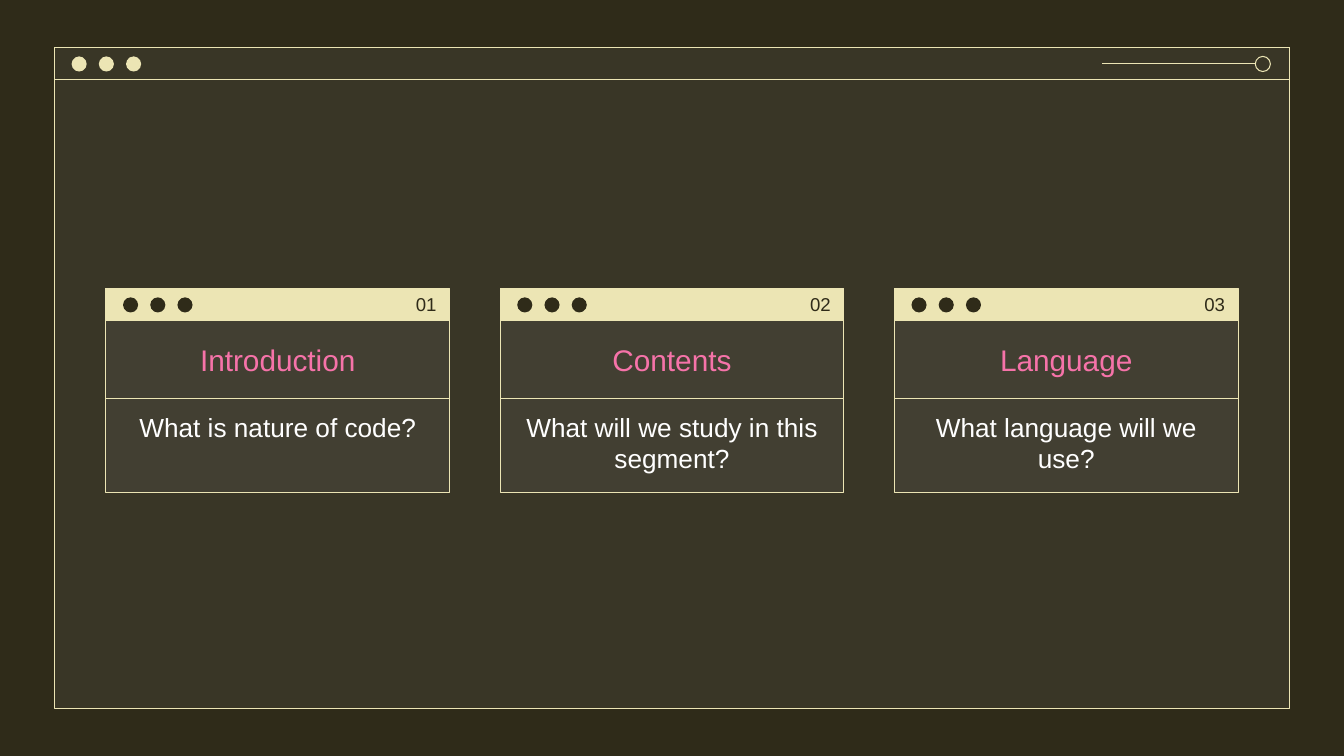
from pptx import Presentation
from pptx.dml.color import RGBColor
from pptx.enum.shapes import MSO_CONNECTOR as Connector, MSO_SHAPE as Shape
from pptx.enum.text import MSO_ANCHOR as Anchor, PP_ALIGN as Align
from pptx.oxml.ns import qn
from pptx.util import Inches, Pt
from lxml.etree import SubElement

DARK = RGBColor(0x2F, 0x2B, 0x19)
CREAM = RGBColor(0xEC, 0xE5, 0xB4)
GRAY = RGBColor(0x7C, 0x7C, 0x7C)
PINK = RGBColor(0xF6, 0x73, 0xA9)
WHITE = RGBColor(0xFF, 0xFF, 0xFF)

FONT = "Arial"
LINE_WIDTH = Pt(0.75)
BAR_HEIGHT = 0.32
TITLE_HEIGHT = 0.77
DOT = 0.15
DOT_PITCH = 0.27
DOT_LEFT, DOT_TOP = 0.17, 0.09

CARDS = [
    ("Introduction", "What is nature of code?"),
    ("Contents", "What will we study in this segment?"),
    ("Language", "What language will we use?"),
]


def add_box(page, kind, left, top, width, height, fill=None, line=None, alpha=None):
    box = page.shapes.add_shape(
        kind, Inches(left), Inches(top), Inches(width), Inches(height))
    box.shadow.inherit = False
    if fill is None:
        box.fill.background()
    else:
        box.fill.solid()
        box.fill.fore_color.rgb = fill
    if alpha is not None:
        color = box.fill._xPr.find(qn("a:solidFill"))[0]
        SubElement(color, qn("a:alpha")).set("val", str(alpha * 1000))
    if line is None:
        box.line.fill.background()
    else:
        box.line.color.rgb = line
        box.line.width = LINE_WIDTH
    return box


def set_text(box, text, size, color, align=Align.CENTER, anchor=Anchor.MIDDLE):
    frame = box.text_frame
    frame.word_wrap = True
    frame.vertical_anchor = anchor
    frame.margin_left = frame.margin_right = Inches(0.13)
    frame.margin_top = frame.margin_bottom = Inches(0.13)
    para = frame.paragraphs[0]
    para.text = text
    para.alignment = align
    para.font.name = FONT
    para.font.size = Pt(size)
    para.font.color.rgb = color


def add_dots(page, left, top, color):
    """Three window buttons in the bar whose corner is given."""
    for index in range(3):
        add_box(page, Shape.OVAL, left + DOT_LEFT + index * DOT_PITCH,
                top + DOT_TOP, DOT, DOT, fill=color)


def add_window(page, left, top, width, height):
    # Translucent pane, outline and title bar
    add_box(page, Shape.RECTANGLE, left, top, width, height, fill=GRAY, alpha=14)
    add_box(page, Shape.RECTANGLE, left, top, width, height, line=CREAM)
    add_box(page, Shape.RECTANGLE, left, top, width, BAR_HEIGHT, line=CREAM)
    add_dots(page, left, top, CREAM)

    # Slider at the right end of the bar
    knob_left = left + width - 0.34
    add_box(page, Shape.OVAL, knob_left, top + DOT_TOP, DOT, DOT, line=CREAM)
    middle = Inches(top + BAR_HEIGHT / 2)
    track = page.shapes.add_connector(
        Connector.STRAIGHT, Inches(knob_left - 1.52), middle, Inches(knob_left), middle)
    track.line.color.rgb = CREAM
    track.line.width = LINE_WIDTH
    SubElement(track._element.spPr, qn("a:effectLst"))


def add_card(page, left, top, width, height, number, title, question):
    # Pane and bar
    add_box(page, Shape.RECTANGLE, left, top, width, height, fill=GRAY, alpha=14)
    add_box(page, Shape.RECTANGLE, left, top, width, BAR_HEIGHT, fill=CREAM, line=CREAM)
    add_dots(page, left, top, DARK)

    # Title and question
    title_top = top + BAR_HEIGHT
    title_box = add_box(page, Shape.RECTANGLE, left, title_top, width,
                        TITLE_HEIGHT, line=CREAM)
    set_text(title_box, title, 21.3, PINK)
    question_top = title_top + TITLE_HEIGHT
    question_box = add_box(page, Shape.RECTANGLE, left, question_top, width,
                           top + height - question_top, line=CREAM)
    set_text(question_box, question, 18.7, WHITE, anchor=Anchor.TOP)

    # Number at the right end of the bar
    number_width = 1.86
    number_box = page.shapes.add_textbox(
        Inches(left + width - number_width), Inches(top),
        Inches(number_width), Inches(BAR_HEIGHT))
    set_text(number_box, f"{number:02}", 13.3, DARK, align=Align.RIGHT)


def main():
    deck = Presentation()
    deck.slide_width, deck.slide_height = Inches(13.33), Inches(7.5)
    page = deck.slides.add_slide(deck.slide_layouts[6])
    page.background.fill.solid()
    page.background.fill.fore_color.rgb = DARK

    add_window(page, 0.54, 0.47, 12.25, 6.56)
    card_width, card_gap = 3.41, 0.5
    for index, (title, question) in enumerate(CARDS):
        add_card(page, 1.05 + index * (card_width + card_gap), 2.86,
                 card_width, 2.03, index + 1, title, question)

    deck.save("out.pptx")


if __name__ == "__main__":
    main()
